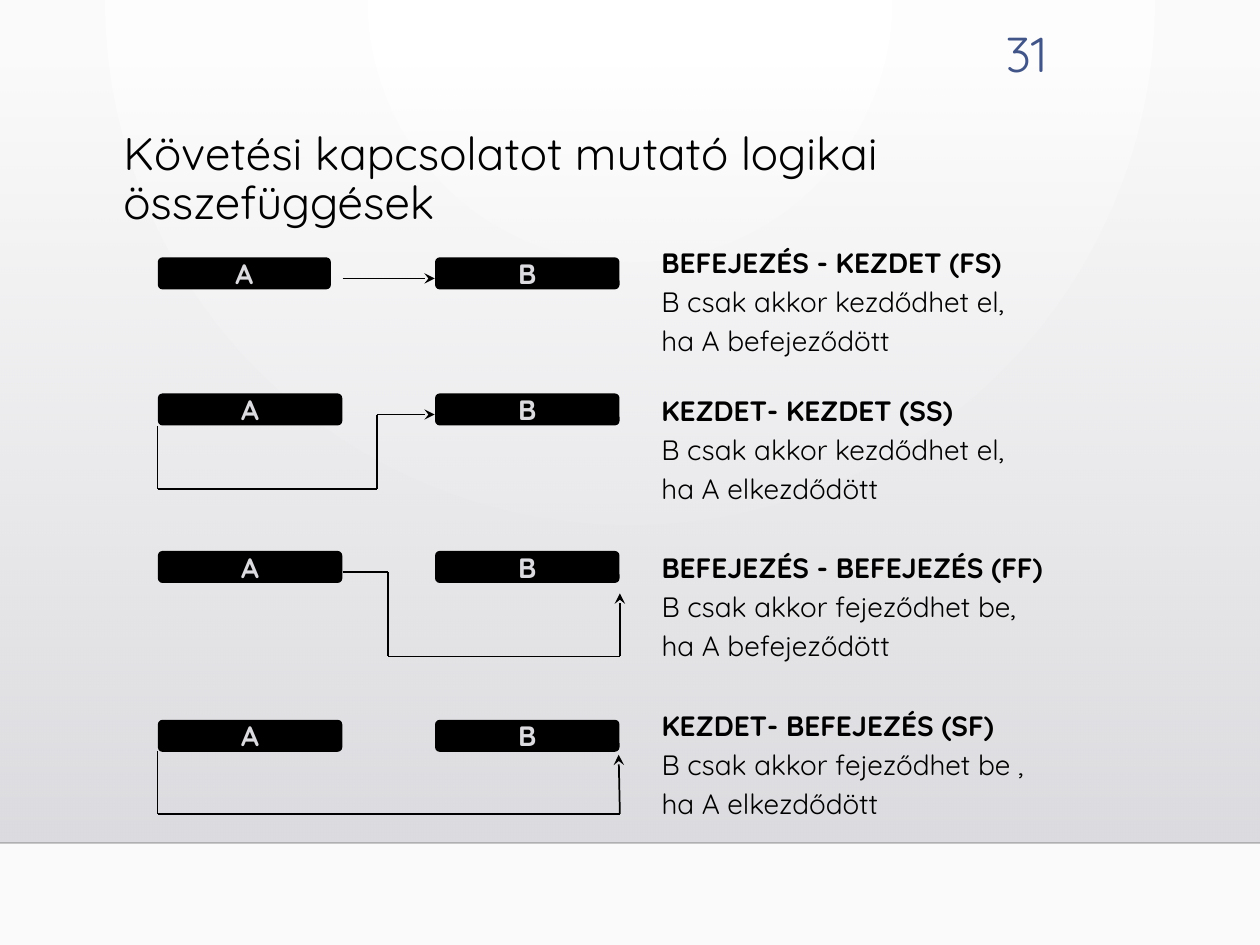
from dataclasses import dataclass
from itertools import pairwise

from lxml.etree import SubElement
from pptx import Presentation
from pptx.dml.color import RGBColor
from pptx.enum.shapes import MSO_CONNECTOR as Conn, MSO_SHAPE as Shape
from pptx.enum.text import MSO_ANCHOR as Anchor, PP_ALIGN as Align
from pptx.oxml import parse_xml
from pptx.oxml.ns import nsdecls, qn
from pptx.util import Inches, Pt

FONT = "Quicksand"
HEX = {"ink": "000000", "pale": "DCDCE0", "page": "415588", "edge": "000001",
       "white": "FFFFFF", "mist": "FAFAFA", "low": "DEDEE2"}
LEFT, RIGHT = 1.26, 3.46
BAR_W, BAR_H = 1.45, 0.24


@dataclass
class Link:
    top: float
    note_top: float
    note_w: float
    route: list[tuple[float, float]]
    lines: list[str]
    a_w: float = BAR_W


LINKS = [
    Link(2.05, 1.97, 3.47, [(2.72, 2.21), (3.45, 2.21)],
         ["BEFEJEZÉS - KEZDET (FS)", "B csak akkor kezdődhet el,",
          "ha A befejeződött"], 1.36),
    Link(3.13, 3.14, 3.47,
         [(1.25, 3.38), (1.25, 3.88), (2.99, 3.88), (2.99, 3.29), (3.45, 3.29)],
         ["KEZDET- KEZDET (SS)", "B csak akkor kezdődhet el,",
          "ha A elkezdődött"]),
    Link(4.38, 4.39, 4.02,
         [(2.72, 4.54), (3.08, 4.54), (3.08, 5.21), (4.92, 5.21), (4.92, 4.71)],
         ["BEFEJEZÉS - BEFEJEZÉS (FF)", "B csak akkor fejeződhet be,",
          "ha A befejeződött"]),
    Link(5.72, 5.64, 3.75,
         [(1.25, 5.96), (1.25, 6.46), (4.92, 6.46), (4.91, 5.99)],
         ["KEZDET- BEFEJEZÉS (SF)", "B csak akkor fejeződhet be ,",
          "ha A elkezdődött"]),
]


def color(name: str) -> RGBColor:
    return RGBColor.from_string(HEX[name])


def style(par, size: float, tone: str = "ink", bold: bool = False) -> None:
    for run in par.runs:
        run.font.name, run.font.size, run.font.bold = FONT, Pt(size), bold
        run.font.color.rgb = color(tone)


def blend(root, first: str, last: str, alpha: tuple[int, int], shade: str) -> None:
    """Turn the first solid fill under root into a two-stop gradient."""
    stops = "".join(
        f'<a:gs pos="{pos}"><a:srgbClr val="{HEX[name]}">'
        f'<a:alpha val="{part * 1000}"/></a:srgbClr></a:gs>'
        for pos, name, part in zip((0, 100000), (first, last), alpha))
    solid = next(root.iter(qn("a:solidFill")))
    solid.getparent().replace(solid, parse_xml(
        f'<a:gradFill {nsdecls("a")} rotWithShape="1">'
        f'<a:gsLst>{stops}</a:gsLst>{shade}</a:gradFill>'))


def add_text(slide, x: float, y: float, w: float, h: float, text: str):
    frame = slide.shapes.add_textbox(
        Inches(x), Inches(y), Inches(w), Inches(h)).text_frame
    frame.word_wrap = True
    frame.text = text
    return frame


def add_bar(slide, x: float, y: float, w: float, name: str) -> None:
    bar = slide.shapes.add_shape(
        Shape.ROUNDED_RECTANGLE, Inches(x), Inches(y), Inches(w), Inches(BAR_H))
    bar.adjustments[0] = 0.125
    bar.shadow.inherit = False
    bar.fill.solid()
    bar.fill.fore_color.rgb = bar.line.color.rgb = color("ink")
    bar.line.width = Pt(1)
    frame = bar.text_frame
    frame.word_wrap = False
    frame.vertical_anchor = Anchor.MIDDLE
    frame.text = name
    frame.paragraphs[0].alignment = Align.CENTER
    style(frame.paragraphs[0], 16, "pale", True)


def add_line(slide, start: tuple[float, float], end: tuple[float, float],
             tone: str = "ink"):
    line = slide.shapes.add_connector(
        Conn.STRAIGHT, *(Inches(v) for v in (*start, *end)))
    line.line.color.rgb = color(tone)
    line.line.width = Pt(1)
    SubElement(line._element.spPr, qn("a:effectLst"))
    return line


def add_route(slide, route: list[tuple[float, float]]) -> None:
    for start, end in pairwise(route):
        line = add_line(slide, start, end)
    SubElement(line.line._get_or_add_ln(), qn("a:tailEnd"), type="stealth")


def add_note(slide, link: Link) -> None:
    frame = add_text(slide, 5.2, link.note_top, link.note_w, 0.95,
                     "\n".join(link.lines))
    frame.margin_left = frame.margin_right = Inches(0.05)
    frame.margin_top = frame.margin_bottom = Inches(0.02)
    for i, par in enumerate(frame.paragraphs):
        par.alignment = Align.JUSTIFY
        par.line_spacing = 0.85
        par.space_after = Pt(6.1)
        style(par, 16, bold=i == 0)


def add_back(slide) -> None:
    slide.background.fill.solid()
    blend(slide.element, "white", "mist", (100, 100),
          '<a:path path="circle"><a:fillToRect l="43000" r="43000" b="100000"/>'
          '</a:path>')
    panel = slide.shapes.add_shape(
        Shape.RECTANGLE, 0, Inches(0.51), Inches(10), Inches(6.18))
    panel.shadow.inherit = False
    panel.fill.solid()
    blend(panel._element.spPr, "pale", "low", (0, 100),
          '<a:lin ang="5400000" scaled="0"/>')
    panel.line.fill.background()
    edge = add_line(slide, (0, 6.69), (10, 6.69), "edge")
    tint = next(edge._element.spPr.iter(qn("a:srgbClr")))
    SubElement(tint, qn("a:alpha"), val="20000")


def main() -> None:
    deck = Presentation()
    deck.slide_width, deck.slide_height = Inches(10), Inches(7.5)
    slide = deck.slides.add_slide(deck.slide_layouts[6])
    add_back(slide)

    # Page number and title
    page = add_text(slide, 7.54, 0.14, 0.87, 0.55, "31").paragraphs[0]
    page.alignment = Align.RIGHT
    style(page, 28, "page")
    title = add_text(slide, 0.88, 0.99, 8.42, 0.92,
                     "Követési kapcsolatot mutató logikai összefüggések")
    title.paragraphs[0].line_spacing = 0.9
    style(title.paragraphs[0], 26.1)

    # The four kinds of link
    for link in LINKS:
        add_bar(slide, LEFT, link.top, link.a_w, "A")
        add_bar(slide, RIGHT, link.top, BAR_W, "B")
        add_route(slide, link.route)
        add_note(slide, link)
    deck.save("out.pptx")


if __name__ == "__main__":
    main()
